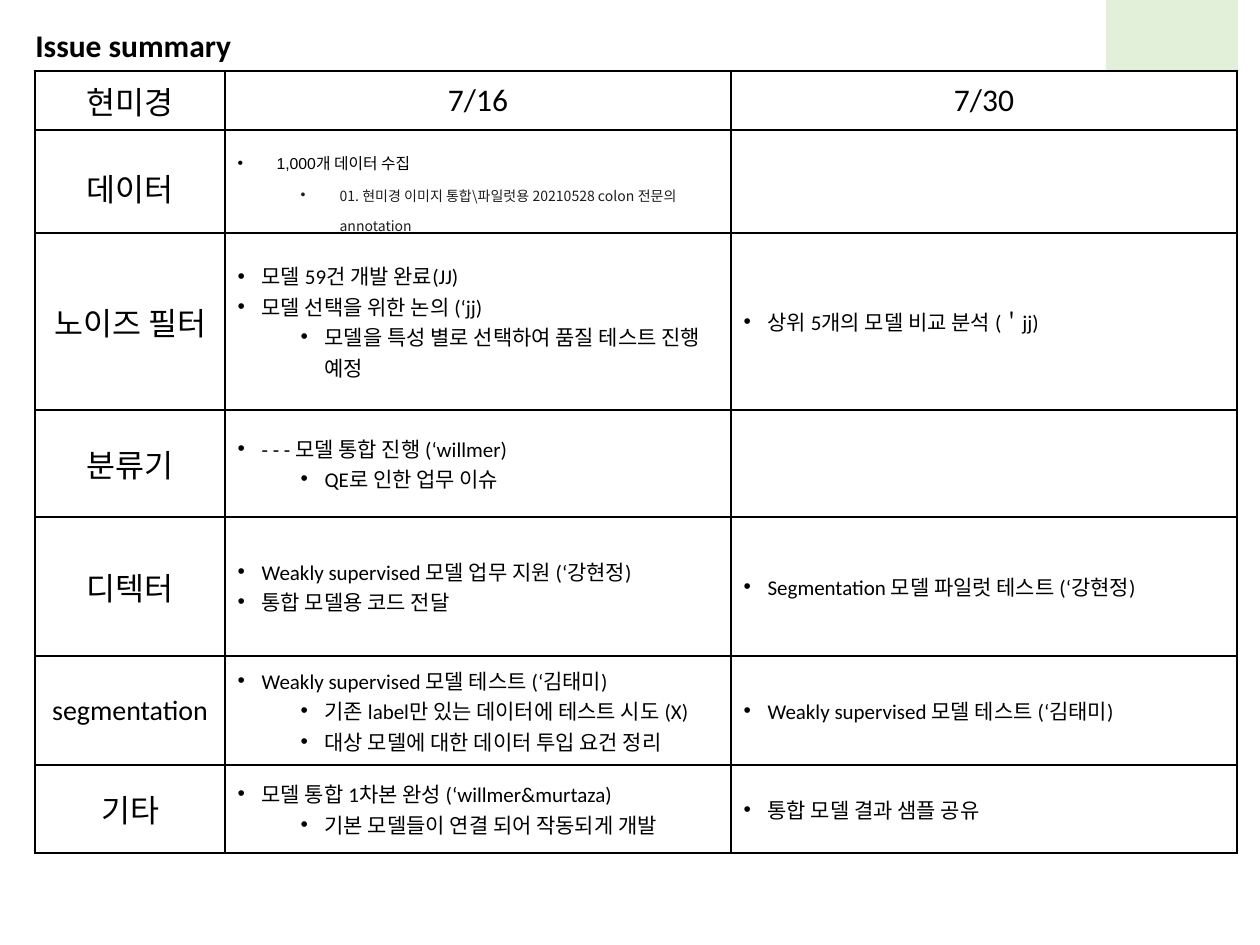
from dataclasses import dataclass

from lxml.etree import SubElement
from pptx import Presentation
from pptx.dml.color import RGBColor
from pptx.enum.shapes import MSO_SHAPE
from pptx.enum.text import MSO_ANCHOR, MSO_AUTO_SIZE, PP_ALIGN
from pptx.oxml import parse_xml
from pptx.oxml.ns import nsdecls, qn
from pptx.util import Pt

SCALE = 914400 // 126  # EMU in one px


@dataclass(frozen=True)
class Theme:
    ink: str = "000000"
    path_ink: str = "1D1C1D"
    paper: str = "FFFFFF"
    accent: str = "E2F0D9"
    latin: str = "Calibri"
    data: str = "Arial"
    korean: str = "Noto Sans CJK KR"
    head: int = 18
    label: int = 16
    body: int = 12
    note: int = 9
    path_size: int = 8
    line: int = 1


THEME = Theme()


@dataclass(frozen=True)
class Item:
    text: str
    level: int = 0
    size: int = THEME.body
    font: str = THEME.latin
    color: str = THEME.ink
    hang: int = 24
    spacing: float = 1.0


LEFT = 35
COLS = [190, 506, 506]
STEP = 63  # indent added by each bullet level

# Each row: height, label, label size, one list of items per date
DATA_ROWS = [
    (116, "데이터", THEME.head, [
        Item("1,000개 데이터 수집", 0, THEME.note, THEME.data,
             hang=39, spacing=1.5),
        Item("01. 현미경 이미지 통합\\파일럿용 20210528 colon 전문의 annotation",
             1, THEME.path_size, THEME.korean, THEME.path_ink, 39, 1.5),
    ], []),
]
MODEL_ROWS = [
    (177, "노이즈 필터", THEME.head, [
        Item("모델 59건 개발 완료(JJ)"),
        Item("모델 선택을 위한 논의 (‘jj)"),
        Item("모델을 특성 별로 선택하여 품질 테스트 진행 예정", 1),
    ], [Item("상위 5개의 모델 비교 분석 (＇jj)")]),
    (107, "분류기", THEME.head, [
        Item("- - - 모델 통합 진행 (‘willmer)"),
        Item("QE로 인한 업무 이슈", 1),
    ], []),
    (139, "디텍터", THEME.head, [
        Item("Weakly supervised 모델 업무 지원 (‘강현정)"),
        Item("통합 모델용 코드 전달"),
    ], [Item("Segmentation 모델 파일럿 테스트 (‘강현정)")]),
    (109, "segmentation", THEME.label, [
        Item("Weakly supervised 모델 테스트 (‘김태미)"),
        Item("기존 label만 있는 데이터에 테스트 시도 (X)", 1),
        Item("대상 모델에 대한 데이터 투입 요건 정리", 1),
    ], [Item("Weakly supervised 모델 테스트 (‘김태미)")]),
    (88, "기타", THEME.head, [
        Item("모델 통합 1차본 완성 (‘willmer&murtaza)"),
        Item("기본 모델들이 연결 되어 작동되게 개발", 1),
    ], [Item("통합 모델 결과 샘플 공유")]),
]
HEADER = (59, "현미경", "7/16", "7/30")


def px(*values):
    return [value * SCALE for value in values]


def add_run(para, text, size, font=THEME.latin, color=THEME.ink, bold=False):
    run = para.add_run()
    run.text = text
    run.font.size = Pt(size)
    run.font.name = font
    run.font.bold = bold
    run.font.color.rgb = RGBColor.from_string(color)
    SubElement(run.font._element, qn("a:ea"), typeface=THEME.korean)


def add_bullet(para, item):
    props = para._p.get_or_add_pPr()
    left, hang = px(item.hang + STEP * item.level, item.hang)
    props.set("marL", str(left))
    props.set("indent", str(-hang))
    SubElement(props, qn("a:buFont"), typeface=THEME.data)
    SubElement(props, qn("a:buChar"), char="•")
    para.level = item.level
    para.line_spacing = item.spacing
    add_run(para, item.text, item.size, item.font, item.color)


def style_cell(cell):
    """Give the cell a plain fill and a border on all four sides."""
    cell.vertical_anchor = MSO_ANCHOR.MIDDLE
    cell.fill.solid()
    cell.fill.fore_color.rgb = RGBColor.from_string(THEME.paper)
    props = cell._tc.get_or_add_tcPr()
    for place, side in enumerate("LRTB"):
        props.insert(place, parse_xml(
            f'<a:ln{side} {nsdecls("a")} w="{Pt(THEME.line)}"><a:solidFill>'
            f'<a:srgbClr val="{THEME.ink}"/></a:solidFill></a:ln{side}>'))


def fill_label(cell, text, size=THEME.head):
    para = cell.text_frame.paragraphs[0]
    para.alignment = PP_ALIGN.CENTER
    add_run(para, text, size)


def fill_list(cell, items):
    frame = cell.text_frame
    for place, item in enumerate(items):
        para = frame.add_paragraph() if place else frame.paragraphs[0]
        add_bullet(para, item)


def add_grid(slide, top, rows, header=None):
    heights = ([header[0]] if header else []) + [row[0] for row in rows]
    table = slide.shapes.add_table(
        len(heights), len(COLS),
        *px(LEFT, top, sum(COLS), sum(heights))).table
    table.first_row = table.horz_banding = False
    for column, width in zip(table.columns, px(*COLS)):
        column.width = width
    for row, height in zip(table.rows, px(*heights)):
        row.height = height
    for cell in table.iter_cells():
        style_cell(cell)
    if header:
        for col, text in enumerate(header[1:]):
            fill_label(table.cell(0, col), text)
    for place, (_, label, size, *lists) in enumerate(rows, 1 if header else 0):
        fill_label(table.cell(place, 0), label, size)
        for col, items in enumerate(lists, 1):
            fill_list(table.cell(place, col), items)


def add_accent(slide):
    block = slide.shapes.add_shape(
        MSO_SHAPE.RECTANGLE, *px(1106, -19, 132, 181))
    block.shadow.inherit = False
    block.fill.solid()
    block.fill.fore_color.rgb = RGBColor.from_string(THEME.accent)
    block.line.fill.background()


def add_title(slide, text):
    frame = slide.shapes.add_textbox(*px(23, 20, 394, 50)).text_frame
    frame.word_wrap = True
    frame.auto_size = MSO_AUTO_SIZE.SHAPE_TO_FIT_TEXT
    add_run(frame.paragraphs[0], text, THEME.head, bold=True)


def main():
    deck = Presentation()
    deck.slide_width, deck.slide_height = px(1260, 945)
    slide = deck.slides.add_slide(deck.slide_layouts[6])
    add_accent(slide)
    add_title(slide, "Issue summary")
    add_grid(slide, 71, DATA_ROWS, HEADER)
    add_grid(slide, 233, MODEL_ROWS)
    deck.save("out.pptx")


if __name__ == "__main__":
    main()
